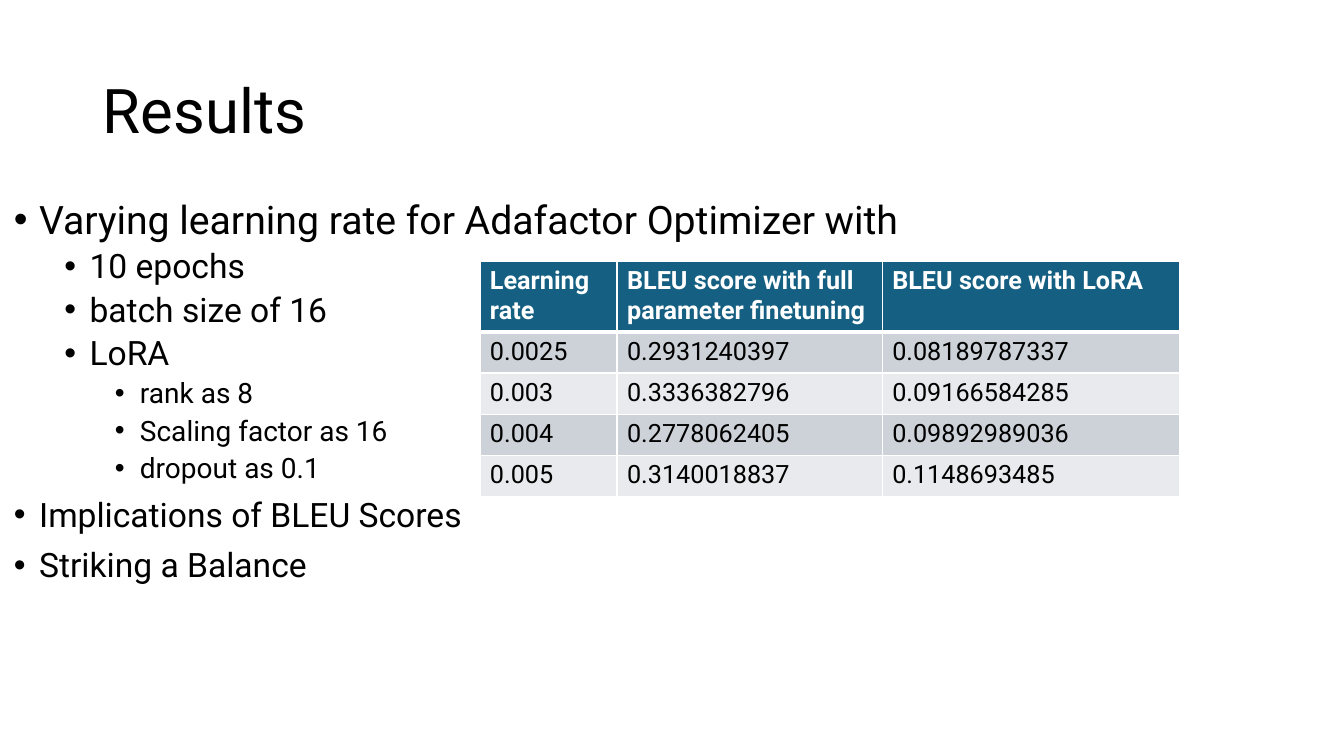
from lxml.etree import SubElement
from pptx import Presentation
from pptx.dml.color import RGBColor
from pptx.enum.text import MSO_ANCHOR as Anchor, PP_ALIGN as Align
from pptx.oxml.ns import qn
from pptx.util import Pt

PX = 9144
FONT = "Roboto"
COLORS = {
    "ink": "000000",
    "paper": "FFFFFF",
    "header": "156082",
    "odd_row": "CCD2D8",
    "even_row": "E8EAED",
}
INDENT = 25
LEVEL_STEP = 50

POINTS = [
    (0, 28, "Varying learning rate for Adafactor Optimizer with"),
    (1, 24, "10 epochs"),
    (1, 24, "batch size of 16"),
    (1, 24, "LoRA"),
    (2, 20, "rank as 8"),
    (2, 20, "Scaling factor as 16"),
    (2, 20, "dropout as 0.1"),
    (0, 24, "Implications of BLEU Scores"),
    (0, 24, "Striking a Balance"),
]
SCORES = [
    ("Learning rate", "BLEU score with full parameter finetuning", "BLEU score with LoRA"),
    ("0.0025", "0.2931240397", "0.08189787337"),
    ("0.003", "0.3336382796", "0.09166584285"),
    ("0.004", "0.2778062405", "0.09892989036"),
    ("0.005", "0.3140018837", "0.1148693485"),
]
COLUMN_WIDTHS = (136, 263, 295)
HEADER_HEIGHT = 68
ROW_HEIGHT = 41


def emu(box):
    """Turn a box in px into EMU lengths."""
    return [length * PX for length in box]


def write(paragraph, text, size, color="ink", bold=False, spacing=None, before=None):
    """Put formatted text into a paragraph."""
    paragraph.alignment = Align.LEFT
    paragraph.line_spacing = spacing
    if before is not None:
        paragraph.space_before = Pt(before)
    run = paragraph.add_run()
    run.text = text
    run.font.name = FONT
    run.font.size = Pt(size)
    run.font.bold = bold
    run.font.color.rgb = RGBColor.from_string(COLORS[color])


def add_bullet(paragraph, level):
    """Give a paragraph a hanging bullet for its level."""
    paragraph.level = level
    properties = paragraph._p.get_or_add_pPr()
    properties.set("marL", str((INDENT + level * LEVEL_STEP) * PX))
    properties.set("indent", str(-INDENT * PX))
    SubElement(properties, qn("a:buFont"), typeface="Arial")
    SubElement(properties, qn("a:buChar"), char="•")


def add_borders(cell, bottom):
    """Draw white borders around a cell, with the given bottom width."""
    properties = cell._tc.get_or_add_tcPr()
    for side, width in (("L", 1), ("R", 1), ("T", 1), ("B", bottom)):
        line = SubElement(properties, qn(f"a:ln{side}"), w=str(Pt(width)))
        fill = SubElement(line, qn("a:solidFill"))
        SubElement(fill, qn("a:srgbClr"), val=COLORS["paper"])


def place_title(slide, box, text):
    """Place the slide title in its box."""
    title = slide.shapes.title
    title.left, title.top, title.width, title.height = emu(box)
    title.text_frame.vertical_anchor = Anchor.MIDDLE
    write(title.text_frame.paragraphs[0], text, 44, spacing=0.9)


def place_points(slide, box, points):
    """Place the nested bullet list in its box."""
    frame = slide.shapes.add_textbox(*emu(box)).text_frame
    frame.word_wrap = True
    for index, (level, size, text) in enumerate(points):
        paragraph = frame.add_paragraph() if index else frame.paragraphs[0]
        write(paragraph, text, size, spacing=0.9, before=5 if level else 10)
        add_bullet(paragraph, level)


def place_scores(slide, corner, scores):
    """Place the score table with its top left at the corner."""
    height = HEADER_HEIGHT + ROW_HEIGHT * (len(scores) - 1)
    box = (*corner, sum(COLUMN_WIDTHS), height)
    table = slide.shapes.add_table(len(scores), len(COLUMN_WIDTHS), *emu(box)).table
    for column, width in zip(table.columns, COLUMN_WIDTHS):
        column.width = width * PX
    for index, values in enumerate(scores):
        header = index == 0
        table.rows[index].height = (HEADER_HEIGHT if header else ROW_HEIGHT) * PX
        shade = "header" if header else "odd_row" if index % 2 else "even_row"
        for cell, value in zip(table.rows[index].cells, values):
            add_borders(cell, bottom=3 if header else 1)
            cell.fill.solid()
            cell.fill.fore_color.rgb = RGBColor.from_string(COLORS[shade])
            write(cell.text_frame.paragraphs[0], value, 18,
                  color="paper" if header else "ink", bold=header)


def main():
    """Build the results slide and save it."""
    deck = Presentation()
    deck.slide_width, deck.slide_height = emu((1333, 750))
    slide = deck.slides.add_slide(deck.slide_layouts[5])
    slide.background.fill.solid()
    slide.background.fill.fore_color.rgb = RGBColor.from_string(COLORS["paper"])
    place_title(slide, (92, 40, 1150, 145), "Results")
    place_points(slide, (4, 194, 1150, 476), POINTS)
    place_scores(slide, (476, 259), SCORES)
    deck.save("out.pptx")


if __name__ == "__main__":
    main()
